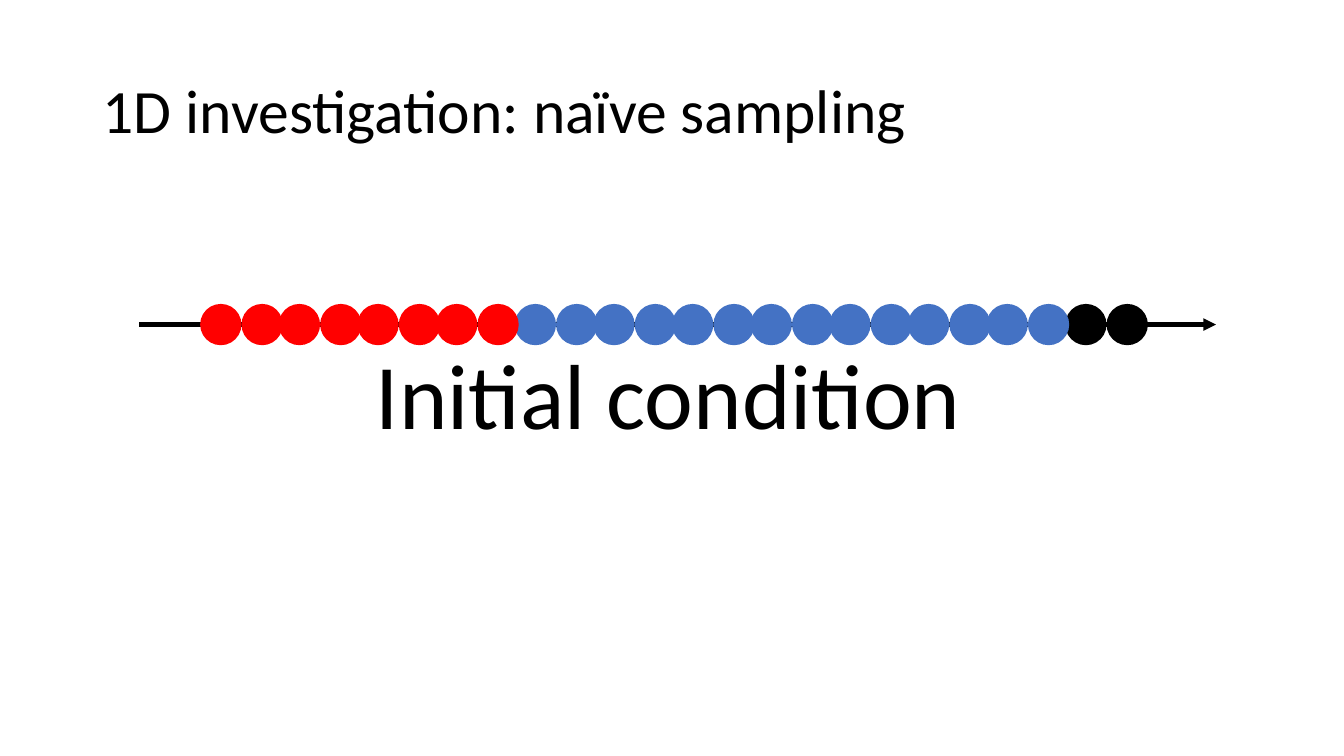
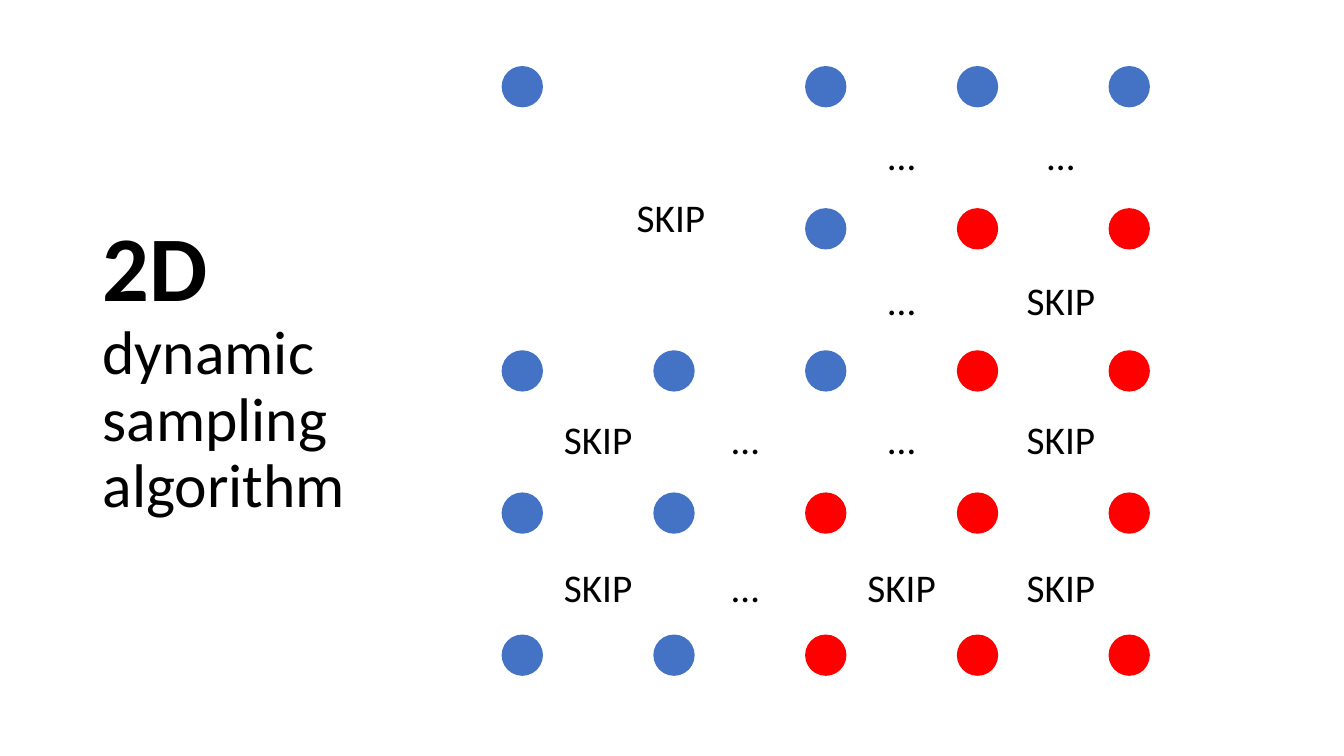
from dataclasses import dataclass

from lxml.etree import SubElement
from pptx import Presentation
from pptx.dml.color import RGBColor
from pptx.enum.shapes import MSO_CONNECTOR, MSO_SHAPE
from pptx.enum.text import MSO_ANCHOR, PP_ALIGN
from pptx.oxml.ns import qn
from pptx.slide import Slide
from pptx.util import Inches, Pt


@dataclass(frozen=True)
class Theme:
    font: str = "Calibri"
    ink: str = "000000"
    blue: str = "4472C4"
    red: str = "FF0000"
    large: int = 66
    title: int = 44
    label: int = 28
    line: int = 3
    dot: float = 0.41
    width: float = 13.33
    height: float = 7.5


@dataclass(frozen=True)
class Box:
    left: float
    top: float
    width: float
    height: float


@dataclass(frozen=True)
class Span:
    text: str
    size: int
    bold: bool = False


@dataclass(frozen=True)
class Grid:
    """Centres of evenly spaced points; columns and rows may be fractions."""
    left: float
    top: float
    column_step: float
    row_step: float

    def at(self, column: float, row: float) -> tuple[float, float]:
        return self.left + column * self.column_step, self.top + row * self.row_step


THEME = Theme()
TITLE_LEFT, TITLE_TOP = 0.92, 0.4

# Axis of the 1D slide: pairs of touching dots
AXIS_Y = 3.22
PAIRS = Grid(2.19, AXIS_Y, 0.78, 0)
CHAIN = [THEME.red] * 8 + [THEME.blue] * 14 + [THEME.ink] * 2

# Field of the 2D slide: B and R are dots, S and E are labels
FIELD = Grid(5.18, 0.86, 6.02 / 4, 5.64 / 4)
DOT_ROWS = ("B.BBB", "..BRR", "BBBRR", "BBRRR", "BBRRR")
DOT_COLOURS = {"B": THEME.blue, "R": THEME.red}
LABEL_ROWS = ("..EE", "..ES", "SEES", "SESS")
LABEL_COLUMN_CENTRES = (0.5, 1.47, 2.5, 3.55)
LABEL_ROW_CENTRES = (0.48, 1.5, 2.48, 3.52)
LABELS = {"S": "SKIP", "E": "…"}


def add_text(slide: Slide, box: Box, lines: list[Span], *,
             anchor: MSO_ANCHOR = MSO_ANCHOR.TOP,
             align: PP_ALIGN = PP_ALIGN.LEFT, wrap: bool = True,
             line_spacing: float = 1.0, space_before: int = 0) -> None:
    shape = slide.shapes.add_textbox(Inches(box.left), Inches(box.top),
                                     Inches(box.width), Inches(box.height))
    frame = shape.text_frame
    frame.word_wrap = wrap
    frame.vertical_anchor = anchor
    para = frame.paragraphs[0]
    para.alignment = align
    para.line_spacing = line_spacing
    para.space_before = Pt(space_before)
    for index, span in enumerate(lines):
        if index:
            para.add_line_break()
        run = para.add_run()
        run.text = span.text
        run.font.name = THEME.font
        run.font.size = Pt(span.size)
        run.font.bold = span.bold
        run.font.color.rgb = RGBColor.from_string(THEME.ink)


def add_title(slide: Slide, width: float, height: float, lines: list[Span]) -> None:
    add_text(slide, Box(TITLE_LEFT, TITLE_TOP, width, height), lines,
             anchor=MSO_ANCHOR.MIDDLE, line_spacing=0.9)


def add_dot(slide: Slide, centre: tuple[float, float], colour: str) -> None:
    x, y = centre
    dot = slide.shapes.add_shape(
        MSO_SHAPE.OVAL, Inches(x - THEME.dot / 2), Inches(y - THEME.dot / 2),
        Inches(THEME.dot), Inches(THEME.dot))
    dot.shadow.inherit = False
    dot.fill.solid()
    dot.fill.fore_color.rgb = RGBColor.from_string(colour)
    dot.line.fill.background()


def add_label(slide: Slide, centre: tuple[float, float], text: str) -> None:
    x, y = centre
    width, height = 0.9, 0.57
    add_text(slide, Box(x - width / 2, y - height / 2, width, height),
             [Span(text, THEME.label)], align=PP_ALIGN.CENTER, wrap=False)


def add_arrow(slide: Slide, start: float, end: float, y: float) -> None:
    arrow = slide.shapes.add_connector(
        MSO_CONNECTOR.STRAIGHT, Inches(start), Inches(y), Inches(end), Inches(y))
    arrow.line.color.rgb = RGBColor.from_string(THEME.ink)
    arrow.line.width = Pt(THEME.line)
    properties = arrow.line._get_or_add_ln()
    SubElement(properties, qn("a:tailEnd"), type="triangle")
    SubElement(arrow._element.spPr, qn("a:effectLst"))


def build_line_slide(slide: Slide) -> None:
    add_title(slide, 11.5, 1.45, [Span("1D investigation: naïve sampling", THEME.title)])
    add_arrow(slide, 1.38, 12.06, AXIS_Y)
    add_text(slide, Box(3.63, 3.42, 6.64, 1.35),
             [Span("Initial condition", THEME.large)],
             line_spacing=0.9, space_before=10)
    # The second dot of each pair lies in front of the first dots
    for side in range(2):
        for pair, colour in enumerate(CHAIN[side::2]):
            x, y = PAIRS.at(pair, 0)
            add_dot(slide, (x + side * THEME.dot, y), colour)


def build_field_slide(slide: Slide) -> None:
    words = ("dynamic", "sampling", "algorithm")
    add_title(slide, 2.94, 6.57, [Span("2D", THEME.large, bold=True),
                                  *(Span(word, THEME.title) for word in words)])
    # Sampled points
    for row, marks in enumerate(DOT_ROWS):
        for column, mark in enumerate(marks):
            if mark in DOT_COLOURS:
                add_dot(slide, FIELD.at(column, row), DOT_COLOURS[mark])
    # Labels between the points, and one for the large empty cell
    for row, marks in zip(LABEL_ROW_CENTRES, LABEL_ROWS):
        for column, mark in zip(LABEL_COLUMN_CENTRES, marks):
            if mark in LABELS:
                add_label(slide, FIELD.at(column, row), LABELS[mark])
    add_label(slide, FIELD.at(0.98, 0.92), LABELS["S"])


def main() -> None:
    deck = Presentation()
    deck.slide_width = Inches(THEME.width)
    deck.slide_height = Inches(THEME.height)
    blank = deck.slide_layouts[6]
    for build in (build_line_slide, build_field_slide):
        build(deck.slides.add_slide(blank))
    deck.save("out.pptx")


if __name__ == "__main__":
    main()
